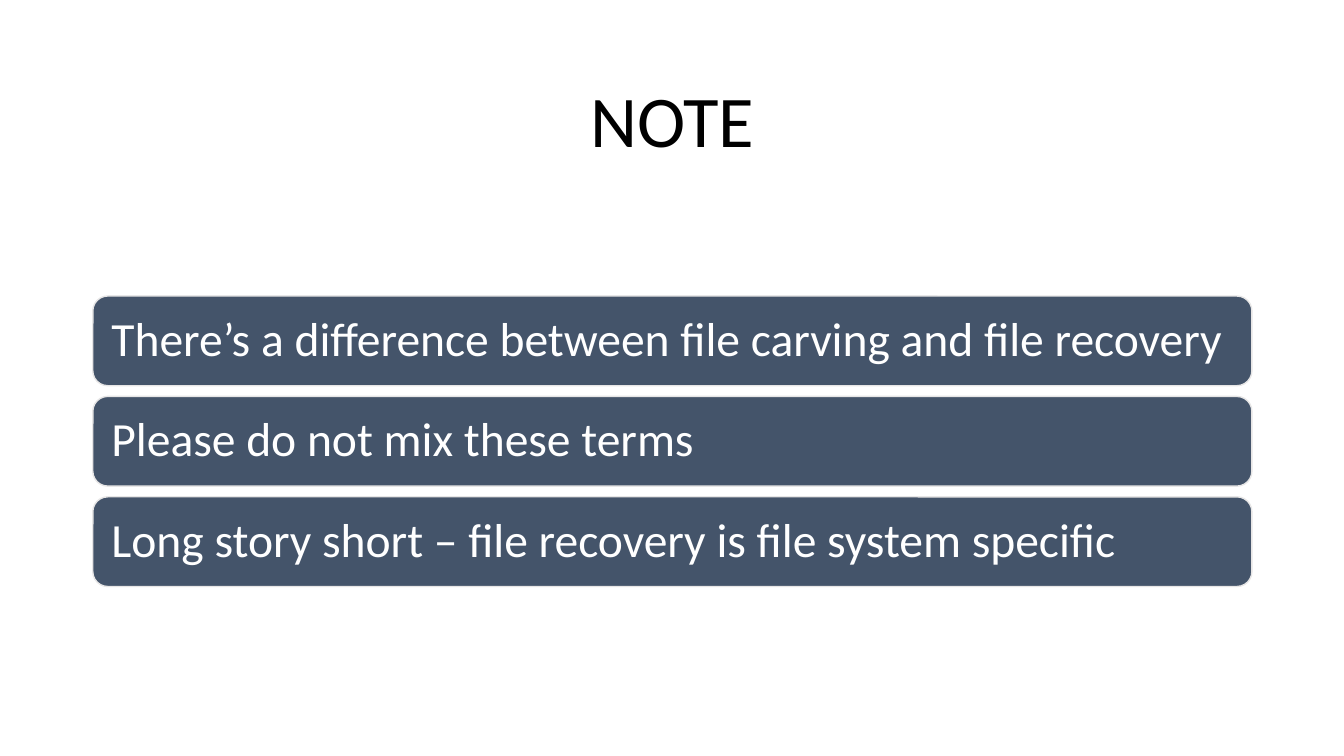
from dataclasses import dataclass

from pptx import Presentation
from pptx.dml.color import RGBColor
from pptx.enum import shapes, text
from pptx.slide import Slide
from pptx.text.text import TextFrame
from pptx.util import Cm, Pt

FONT = "Calibri"
LEFT, WIDTH = 2.34, 29.21
BAR_TOP, BAR_HEIGHT, BAR_PITCH = 7.46, 2.26, 2.53
BAR_INSET = 0.36


@dataclass
class Bar:
    wording: str
    top: float


def rgb(value: str) -> RGBColor:
    return RGBColor.from_string(value)


def write(tf: TextFrame, wording: str, *, size: float, color: str,
          align: text.PP_ALIGN, inset: float) -> None:
    tf.word_wrap = True
    tf.auto_size = text.MSO_AUTO_SIZE.NONE
    tf.vertical_anchor = text.MSO_ANCHOR.MIDDLE
    tf.margin_left = tf.margin_right = Cm(inset)
    tf.margin_top = tf.margin_bottom = Cm(inset)
    p = tf.paragraphs[0]
    p.alignment = align
    p.line_spacing = 0.9
    r = p.add_run()
    r.text = wording
    r.font.name = FONT
    r.font.size = Pt(size)
    r.font.color.rgb = rgb(color)


def draw_bar(s: Slide, bar: Bar) -> None:
    sp = s.shapes.add_shape(shapes.MSO_SHAPE.ROUNDED_RECTANGLE, Cm(LEFT),
                            Cm(bar.top), Cm(WIDTH), Cm(BAR_HEIGHT))
    sp.shadow.inherit = False
    sp.fill.solid()
    sp.fill.fore_color.rgb = rgb("44546A")
    sp.line.color.rgb = rgb("E7E6E6")
    sp.line.width = Pt(1)
    write(sp.text_frame, bar.wording, size=34, color="FFFFFF",
          align=text.PP_ALIGN.LEFT, inset=BAR_INSET)


def main() -> None:
    prs = Presentation()
    prs.slide_width, prs.slide_height = Cm(33.87), Cm(19.05)
    s = prs.slides.add_slide(prs.slide_layouts.get_by_name("Title Only"))

    # Title
    title = s.shapes.title
    title.left, title.top = Cm(LEFT), Cm(1.55)
    title.width, title.height = Cm(WIDTH), Cm(3.15)
    write(title.text_frame, "NOTE", size=52, color="000000",
          align=text.PP_ALIGN.CENTER, inset=0.13)

    # Stacked statement bars
    statements = (
        "There’s a difference between file carving and file recovery",
        "Please do not mix these terms",
        "Long story short – file recovery is file system specific",
    )
    for i, statement in enumerate(statements):
        draw_bar(s, Bar(statement, BAR_TOP + i * BAR_PITCH))

    prs.save("out.pptx")


if __name__ == "__main__":
    main()
